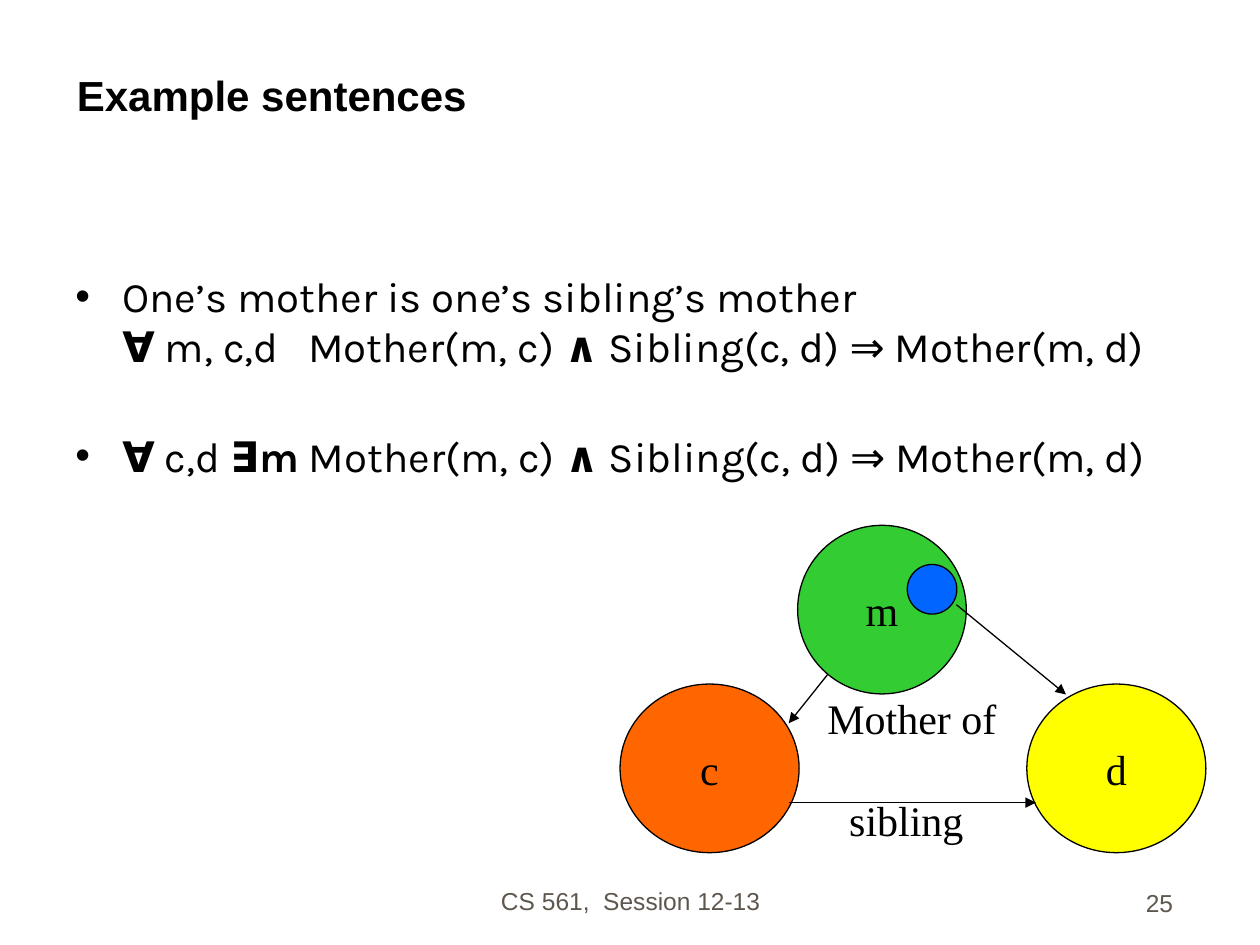
from lxml.etree import SubElement
from pptx import Presentation
from pptx.dml.color import RGBColor
from pptx.enum.shapes import MSO_CONNECTOR, MSO_SHAPE
from pptx.enum.text import MSO_ANCHOR, PP_ALIGN
from pptx.oxml.ns import qn
from pptx.util import Cm, Pt

HUES = {"ink": "000000", "grey": "5E574E", "orange": "FF6600",
        "yellow": "FFFF00", "green": "33CC33", "blue": "0066FF"}


def hue(name):
    return RGBColor.from_string(HUES[name])


def write(para, text, font="Arial", size=24, color="ink", bold=False,
          align=PP_ALIGN.LEFT, before=0):
    """Fill a paragraph; parts between * marks switch boldness, \n breaks the line."""
    para.alignment = align
    para.space_before = Pt(before)
    for row, line in enumerate(text.split("\n")):
        if row:
            para.add_line_break()
        for pos, part in enumerate(line.split("*")):
            if part:
                run = para.add_run()
                run.text = part
                run.font.name = font
                run.font.size = Pt(size)
                run.font.bold = bold or pos % 2 == 1
                run.font.color.rgb = hue(color)


class Deck:
    serif = "Times New Roman"
    width = Pt(0.75)

    def __init__(self):
        self.file = Presentation()
        self.file.slide_width, self.file.slide_height = Cm(25.4), Cm(19.05)
        self.slide = self.file.slides.add_slide(self.file.slide_layouts[6])

    def box(self, x, y, w, h, anchor=MSO_ANCHOR.TOP, wrap=True):
        shape = self.slide.shapes.add_textbox(Cm(x), Cm(y), Cm(w), Cm(h))
        frame = shape.text_frame
        frame.word_wrap = wrap
        frame.vertical_anchor = anchor
        return frame

    def text(self, text, x, y, w, h, anchor=MSO_ANCHOR.BOTTOM, wrap=True, **style):
        write(self.box(x, y, w, h, anchor, wrap).paragraphs[0], text, **style)

    def label(self, text, x, y, w):
        self.text(text, x, y, w, 1.27, MSO_ANCHOR.TOP, False, font=self.serif)

    def list(self, items, x, y, w, h, gap, **style):
        frame = self.box(x, y, w, h)
        for row, item in enumerate(items):
            para = frame.add_paragraph() if row else frame.paragraphs[0]
            write(para, item, before=gap if row else 0, **style)
            props = para._p.get_or_add_pPr()
            props.set("marL", str(Cm(0.95)))
            props.set("indent", str(-Cm(0.95)))
            tint = SubElement(props, qn("a:buClr"))
            SubElement(tint, qn("a:srgbClr"), val=HUES["ink"])
            SubElement(props, qn("a:buFont"), typeface="Arial")
            SubElement(props, qn("a:buChar"), char="•")

    def disc(self, x, y, w, h, fill, text=""):
        shape = self.slide.shapes.add_shape(
            MSO_SHAPE.OVAL, Cm(x), Cm(y), Cm(w), Cm(h))
        shape.shadow.inherit = False
        shape.fill.solid()
        shape.fill.fore_color.rgb = hue(fill)
        shape.line.color.rgb = hue("ink")
        shape.line.width = self.width
        if text:
            frame = shape.text_frame
            frame.word_wrap = False
            frame.vertical_anchor = MSO_ANCHOR.MIDDLE
            write(frame.paragraphs[0], text, font=self.serif,
                  align=PP_ALIGN.CENTER)

    def arrow(self, *ends):
        line = self.slide.shapes.add_connector(
            MSO_CONNECTOR.STRAIGHT, *[Cm(end) for end in ends])
        line.line.color.rgb = hue("ink")
        line.line.width = self.width
        props = line._element.spPr
        SubElement(props.find(qn("a:ln")), qn("a:tailEnd"), type="triangle")
        SubElement(props, qn("a:effectLst"))


def main():
    deck = Deck()

    # Footer and title
    foot = {"size": 14, "color": "grey"}
    deck.text("CS 561,  Session 12-13", 8.69, 17.3, 8.05, 1.27,
              align=PP_ALIGN.CENTER, **foot)
    deck.text("25", 18.62, 17.35, 5.28, 1.27, align=PP_ALIGN.RIGHT, **foot)
    deck.text("Example sentences", 1.3, 0.64, 22.66, 1.9, bold=True)

    # Logic sentences
    rule = " Mother(m, c) *∧* Sibling(c, d) ⇒ Mother(m, d)"
    deck.list(["One’s mother is one’s sibling’s mother\n*∀* m, c,d  " + rule,
               "*∀* c,d *∃m*" + rule],
              1.27, 5.33, 23.29, 10.01, gap=33.6, font="Karla")

    # Family members
    for x, fill, name in ((12.5, "orange", "c"), (20.7, "yellow", "d")):
        deck.disc(x, 13.79, 3.61, 3.4, fill, name)
    deck.disc(16.08, 10.59, 3.4, 3.4, "green", "m")
    deck.disc(18.29, 11.38, 1, 1, "blue")

    # Relations
    deck.arrow(16.69, 13.59, 15.9, 14.58)
    deck.label("Mother of", 16.43, 13.84, 3.91)
    deck.arrow(15.9, 16.18, 20.88, 16.18)
    deck.label("sibling", 16.87, 15.9, 2.82)
    deck.arrow(19.28, 12.19, 21.49, 14)

    deck.file.save("out.pptx")


if __name__ == "__main__":
    main()
